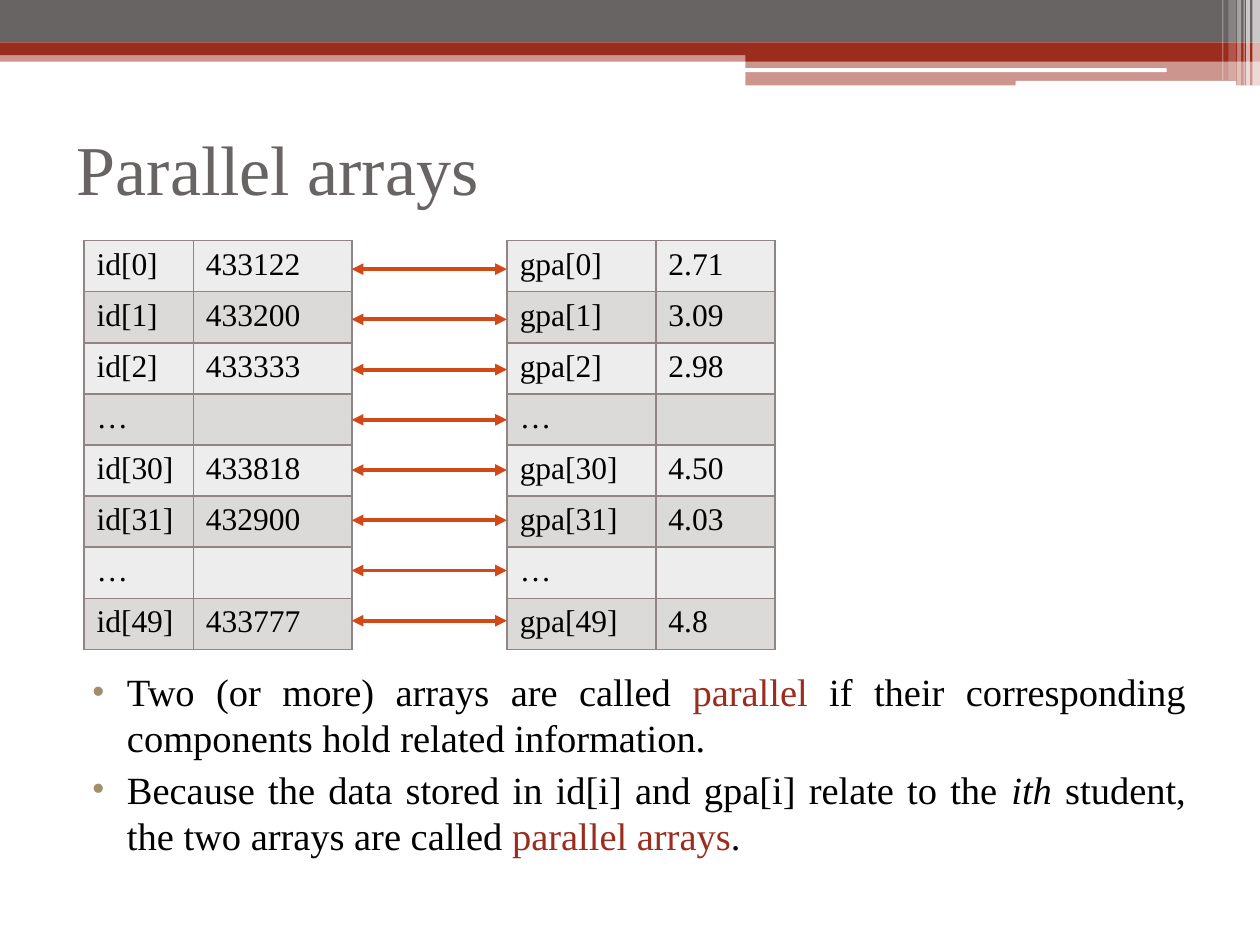
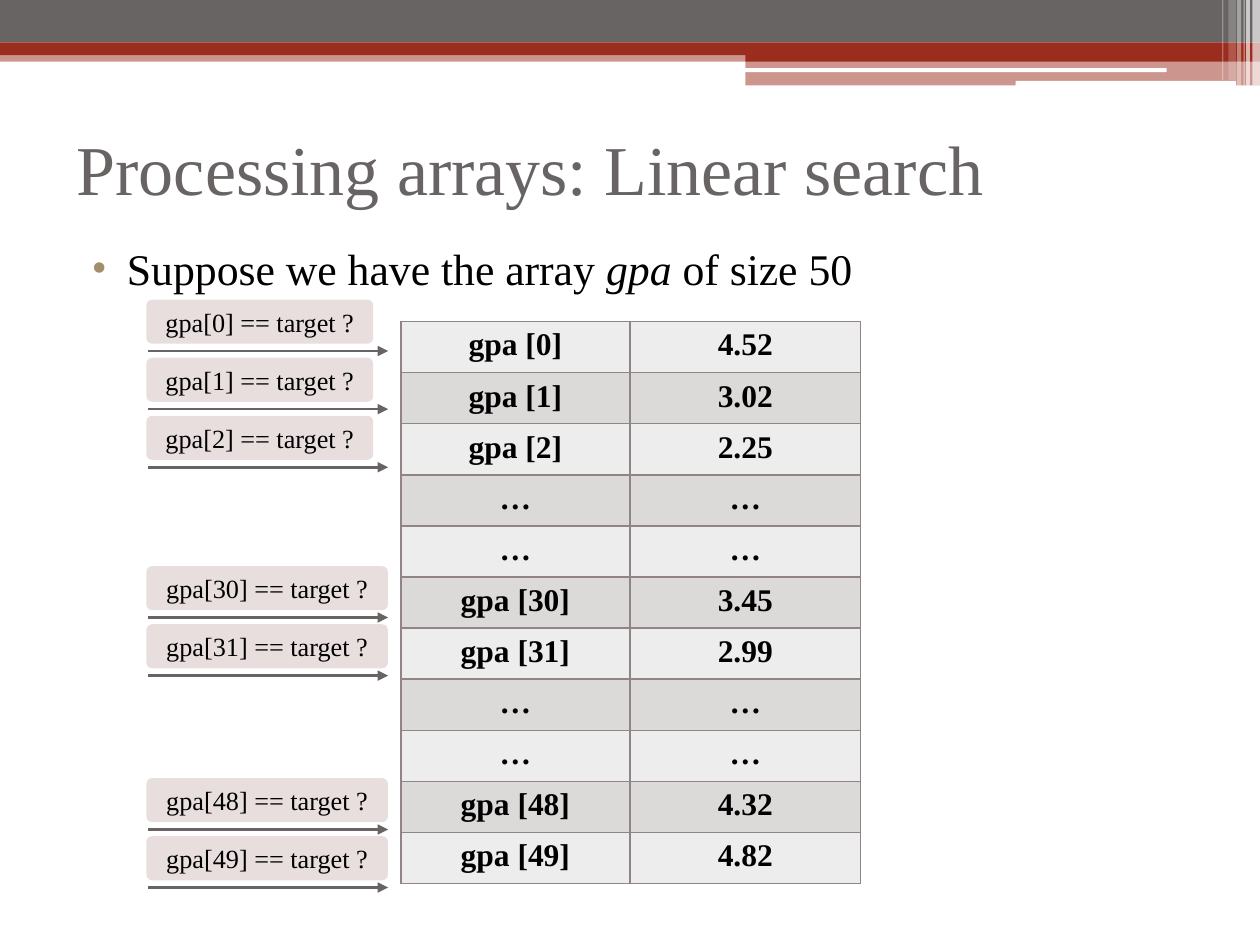
from lxml.etree import SubElement
from pptx import Presentation
from pptx.dml.color import RGBColor
from pptx.enum.shapes import MSO_CONNECTOR, MSO_SHAPE
from pptx.enum.text import MSO_ANCHOR, MSO_AUTO_SIZE, PP_ALIGN
from pptx.oxml.ns import qn
from pptx.util import Pt

FONT = "Times New Roman"
COLORS = {
    "gray": "696464", "red": "9B2D1F", "orange": "D34817", "white": "FFFFFF",
    "black": "000000", "bullet": "A28E6A", "border": "918485",
    "row_light": "EEEDED", "row_dark": "DCD9D9", "question": "E8DEDE",
}
ROW_HEIGHT = 29.22
RECT, ROUND = MSO_SHAPE.RECTANGLE, MSO_SHAPE.ROUNDED_RECTANGLE

BANDS = [
    (RECT, 0, 28.8, 720, 6.5, "red", 50),
    (RECT, 0, 0, 720, 24.3, "gray", 100),
    (RECT, 0, 24.3, 720, 7.2, "red", 100),
    (RECT, 426, 28, 294, 7.2, "red", 100),
    (RECT, 426, 35.2, 294, 13.6, "red", 50),
    (ROUND, 425.5, 39, 241.2, 2.2, "white", 100),
    (ROUND, 580.3, 46.2, 126, 2.8, "white", 100),
    (RECT, 715.7, 0, 4.3, 49, "white", 65),
    (RECT, 712.1, 0, 2.2, 49, "white", 65),
    (RECT, 710.6, 0, 0.7, 49, "white", 60),
    (RECT, 707, 0, 2.2, 49, "white", 40),
    (RECT, 702, 0, 4.3, 46, "white", 20),
    (RECT, 698.4, 0, 0.7, 46, "white", 30),
]


def rgb(name):
    return RGBColor.from_string(COLORS[name])


def write(paragraph, text, size=18, color="black", bold=False, italic=False,
          align=PP_ALIGN.LEFT):
    paragraph.alignment = align
    run = paragraph.add_run()
    run.text = text
    font = run.font
    font.name, font.size, font.bold, font.italic = FONT, Pt(size), bold, italic
    font.color.rgb = rgb(color)


def add_block(slide, kind, left, top, width, height, color, opacity=100):
    block = slide.shapes.add_shape(kind, Pt(left), Pt(top), Pt(width), Pt(height))
    block.shadow.inherit = False
    block.fill.solid()
    block.fill.fore_color.rgb = rgb(color)
    block.line.fill.background()
    if opacity < 100:
        tint = block.element.spPr.find(".//" + qn("a:srgbClr"))
        SubElement(tint, qn("a:alpha"), val=str(opacity * 1000))
    return block


def move_bands_to_layout(slide):
    tree = slide.slide_layout.shapes.element
    for order, band in enumerate(BANDS):
        element = add_block(slide, *band).element
        element.nvSpPr.cNvPr.set("id", str(100 + order))
        tree.insert(2 + order, element)


def add_titled_slide(deck, text):
    slide = deck.slides.add_slide(deck.slide_layouts[5])
    title = slide.shapes.title
    title.left, title.top, title.width, title.height = map(Pt, (36.7, 53.5, 648, 84.2))
    title.text_frame.vertical_anchor = MSO_ANCHOR.MIDDLE
    title.text_frame.auto_size = MSO_AUTO_SIZE.NONE
    write(title.text_frame.paragraphs[0], text, size=40, color="gray")
    return slide


def add_bullets(slide, top, height, points, size):
    frame = slide.shapes.add_textbox(Pt(36.7), Pt(top), Pt(648), Pt(height)).text_frame
    frame.word_wrap = True
    for order, pieces in enumerate(points):
        paragraph = frame.add_paragraph() if order else frame.paragraphs[0]
        props = paragraph._p.get_or_add_pPr()
        props.set("marL", str(Pt(28.8)))
        props.set("indent", str(Pt(-20.2)))
        tint = SubElement(props, qn("a:buClr"))
        SubElement(tint, qn("a:srgbClr"), val=COLORS["bullet"])
        SubElement(props, qn("a:buFont"), typeface=FONT)
        SubElement(props, qn("a:buChar"), char="•")
        if order:
            paragraph.space_before = Pt(3)
        for text, style in pieces:
            write(paragraph, text, size=size, align=PP_ALIGN.JUSTIFY, **style)


def add_borders(cell):
    props = cell._tc.get_or_add_tcPr()
    for side in ("lnL", "lnR", "lnT", "lnB"):
        edge = SubElement(props, qn("a:" + side), w=str(Pt(1)))
        SubElement(SubElement(edge, qn("a:solidFill")), qn("a:srgbClr"),
                   val=COLORS["border"])


def add_array(slide, left, top, widths, rows, **style):
    table = slide.shapes.add_table(
        len(rows), len(widths), Pt(left), Pt(top),
        Pt(sum(widths)), Pt(ROW_HEIGHT * len(rows))).table
    table.first_row = table.horz_banding = False
    for column, width in zip(table.columns, widths):
        column.width = Pt(width)
    for r, row in enumerate(rows):
        table.rows[r].height = Pt(ROW_HEIGHT)
        for c, value in enumerate(row):
            cell = table.cell(r, c)
            add_borders(cell)
            cell.fill.solid()
            cell.fill.fore_color.rgb = rgb("row_dark" if r % 2 else "row_light")
            if value:
                write(cell.text_frame.paragraphs[0], value, **style)


def add_arrow(slide, start, end, y, color, weight, ends=("tailEnd",)):
    arrow = slide.shapes.add_connector(
        MSO_CONNECTOR.STRAIGHT, Pt(start), Pt(y), Pt(end), Pt(y))
    arrow.line.color.rgb = rgb(color)
    arrow.line.width = Pt(weight)
    for end_name in ends:
        SubElement(arrow.line._get_or_add_ln(), qn("a:" + end_name), type="triangle")
    SubElement(arrow._element.spPr, qn("a:effectLst"))


def add_question(slide, index, top):
    add_arrow(slide, 84.6, 221.8, top + 29.4, "gray", 1.5)
    width = 129.6 if index < 10 else 138
    box = add_block(slide, ROUND, 83.7, top, width, 25.2, "question")
    box.adjustments[0] = 0.13
    frame = box.text_frame
    frame.word_wrap = False
    frame.vertical_anchor = MSO_ANCHOR.MIDDLE
    write(frame.paragraphs[0], f"gpa[{index}] == target ?", size=15,
          align=PP_ALIGN.CENTER)


def build_parallel_arrays(deck):
    slide = add_titled_slide(deck, "Parallel arrays")
    move_bands_to_layout(slide)
    red = {"color": "red"}
    add_bullets(slide, 378.3, 126, [
        [("Two (or more) arrays are called ", {}), ("parallel", red),
         (" if their corresponding components hold related information.", {})],
        [("Because the data stored in id[i] and gpa[i] relate to the ", {}),
         ("ith", {"italic": True}),
         (" student, the two arrays are called ", {}),
         ("parallel arrays", red), (".", {})],
    ], size=22)
    students = [
        (0, "433122", "2.71"), (1, "433200", "3.09"), (2, "433333", "2.98"), None,
        (30, "433818", "4.50"), (31, "432900", "4.03"), None, (49, "433777", "4.8"),
    ]
    ids = [(f"id[{s[0]}]", s[1]) if s else ("…", "") for s in students]
    gpas = [(f"gpa[{s[0]}]", s[2]) if s else ("…", "") for s in students]
    add_array(slide, 48, 137.5, (62.5, 90.7), ids)
    add_array(slide, 289.8, 137.5, (85, 68.2), gpas)
    for order in range(len(students)):
        add_arrow(slide, 201, 289.7, 153.8 + 28.7 * order, "orange", 2.25,
                  ends=("headEnd", "tailEnd"))


def build_linear_search(deck):
    slide = add_titled_slide(deck, "Processing arrays: Linear search")
    add_bullets(slide, 134.8, 36, [
        [("Suppose we have the array ", {}), ("gpa", {"italic": True}),
         (" of size 50", {})],
    ], size=25)
    gap = ("…", "…")
    add_array(slide, 229, 183.7, (131, 131.8), [
        ("gpa [0]", "4.52"), ("gpa [1]", "3.02"), ("gpa [2]", "2.25"), gap, gap,
        ("gpa [30]", "3.45"), ("gpa [31]", "2.99"), gap, gap,
        ("gpa [48]", "4.32"), ("gpa [49]", "4.82"),
    ], bold=True, align=PP_ALIGN.CENTER)
    for first_top, indexes in ((171.2, (0, 1, 2)), (323.5, (30, 31)), (444.6, (48, 49))):
        for order, index in enumerate(indexes):
            add_question(slide, index, first_top + 33.2 * order)


def main():
    deck = Presentation()
    deck.slide_width, deck.slide_height = Pt(720), Pt(540)
    build_parallel_arrays(deck)
    build_linear_search(deck)
    deck.save("out.pptx")


if __name__ == "__main__":
    main()
